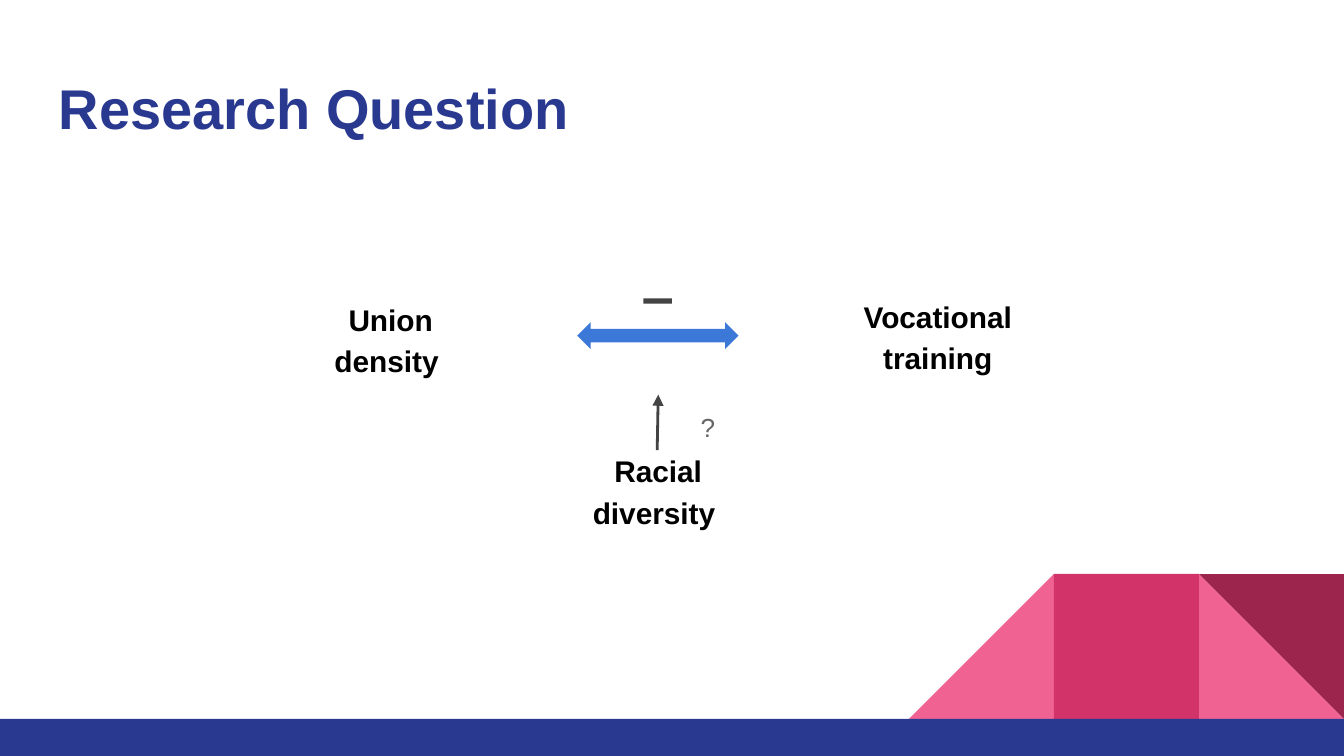
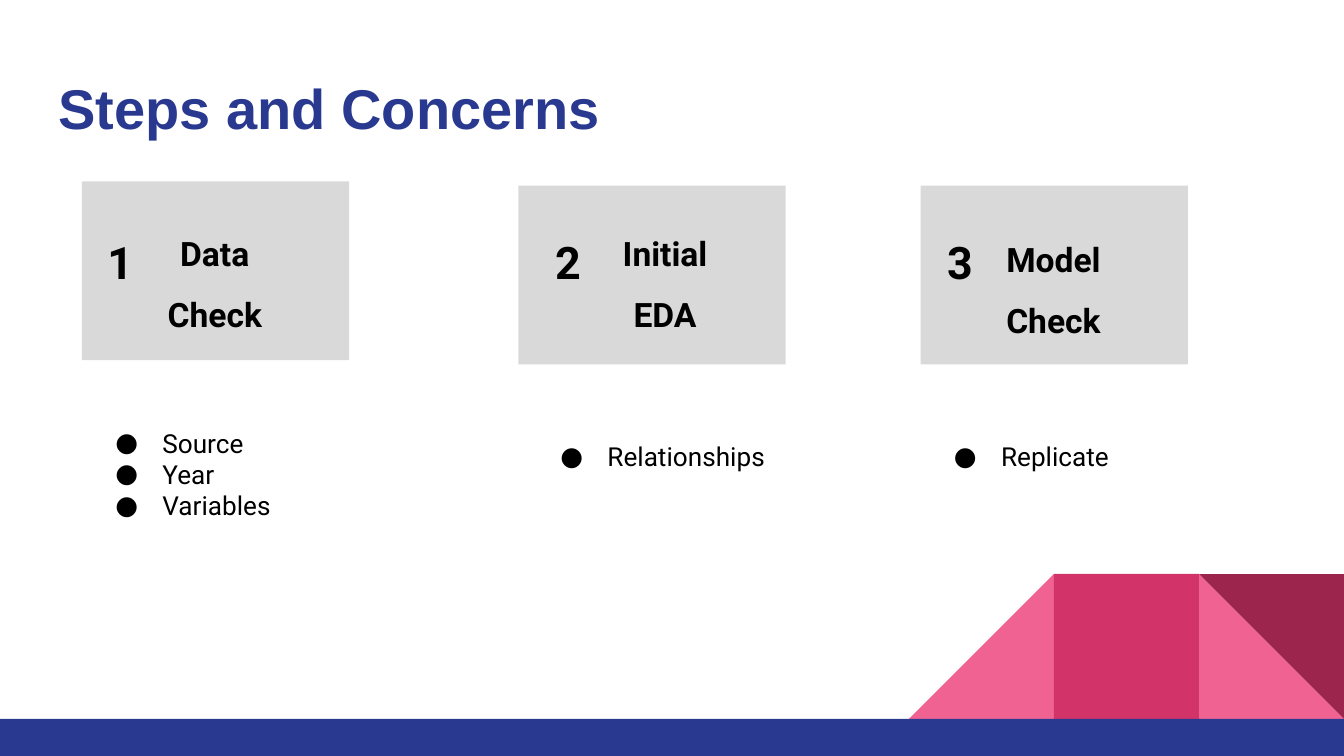
from typing import NamedTuple

from lxml.etree import SubElement
from pptx import Presentation
from pptx.dml.color import RGBColor as Rgb
from pptx.enum.shapes import MSO_CONNECTOR as Link, MSO_SHAPE as Preset
from pptx.enum.text import PP_ALIGN as Align
from pptx.oxml.ns import qn
from pptx.util import Cm, Pt

COLORS = {
    "navy": "2A3990",
    "pink": "F06292",
    "rose": "D23369",
    "wine": "9C254D",
    "blue": "3C78D8",
    "dark": "434343",
    "mid": "666666",
    "card": "D9D9D9",
    "black": "000000",
}
SLIDE_WIDTH, SLIDE_HEIGHT = 25.4, 14.29
INSETS = (0.25, 0.25, 0.25, 0.25)


class Box(NamedTuple):
    left: float
    top: float
    width: float
    height: float

    def inner(self, dx, dy, width, height):
        return Box(self.left + dx, self.top + dy, width, height)

    def lengths(self):
        return [Cm(value) for value in self]


class Style(NamedTuple):
    size: int
    font: str = "Arial"
    color: str = "black"
    bold: bool = True
    align: Align = Align.LEFT
    spacing: float = 1.0


class Step(NamedTuple):
    number: str
    heading: list
    concerns: list
    card: Box
    number_at: tuple
    heading_at: tuple
    concerns_box: Box


TITLE = Style(30, color="navy")
LABEL = Style(16, align=Align.CENTER, spacing=1.15)
QUESTION = Style(14, color="mid", bold=False, align=Align.CENTER)
NUMBER = Style(24, "Roboto")
HEADING = Style(18, "Roboto", align=Align.CENTER, spacing=1.5)
CONCERN = Style(14, "Roboto", bold=False)

STEPS = [
    Step("1", ["Data", "Check"], ["Source", "Year", "Variables"],
         Box(1.55, 3.43, 5.05, 3.38), (0.23, 0.76), (0.63, 0.35),
         Box(1.55, 7.82, 7.16, 3.05)),
    Step("2", ["Initial", "EDA"], ["Relationships"],
         Box(9.8, 3.51, 5.05, 3.38), (0.44, 0.68), (0.89, 0.27),
         Box(9.96, 8.08, 7.16, 2.03)),
    Step("3", ["Model", "Check"], ["Replicate"],
         Box(17.4, 3.51, 5.05, 3.38), (0.25, 0.68), (0.63, 0.38),
         Box(17.4, 8.08, 6.93, 2.03)),
]


def color(name):
    return Rgb.from_string(COLORS[name])


def add_block(slide, preset, box, fill):
    block = slide.shapes.add_shape(preset, *box.lengths())
    block.shadow.inherit = False
    block.fill.solid()
    block.fill.fore_color.rgb = color(fill)
    block.line.fill.background()
    return block


def add_text(slide, box, lines, style, insets=INSETS, wrap=True, bullet=False):
    frame = slide.shapes.add_textbox(*box.lengths()).text_frame
    frame.word_wrap = wrap
    (frame.margin_left, frame.margin_top,
     frame.margin_right, frame.margin_bottom) = [Cm(inset) for inset in insets]
    for index, line in enumerate(lines):
        paragraph = frame.add_paragraph() if index else frame.paragraphs[0]
        paragraph.alignment = style.align
        paragraph.line_spacing = style.spacing
        run = paragraph.add_run()
        run.text = line
        run.font.name = style.font
        run.font.size = Pt(style.size)
        run.font.bold = style.bold
        run.font.color.rgb = color(style.color)
        if bullet:
            add_bullet(paragraph)


def add_bullet(paragraph):
    props = paragraph._p.get_or_add_pPr()
    props.set("marL", str(Cm(1.27)))
    props.set("indent", str(Cm(-0.89)))
    tint = SubElement(props, qn("a:buClr"))
    SubElement(tint, qn("a:srgbClr"), val=COLORS["black"])
    SubElement(props, qn("a:buFont"), typeface="Roboto")
    SubElement(props, qn("a:buChar"), char="●")


def add_arrow(slide, start, end):
    arrow = slide.shapes.add_connector(
        Link.STRAIGHT, *[Cm(value) for value in start + end])
    arrow.line.color.rgb = color("dark")
    arrow.line.width = Pt(1.5)
    SubElement(arrow.line._get_or_add_ln(), qn("a:tailEnd"), type="triangle")
    SubElement(arrow._element.spPr, qn("a:effectLst"))


def draw_decor(slide, tile=2.74, band=0.7):
    top = SLIDE_HEIGHT - band - tile
    left, middle, right = [
        Box(SLIDE_WIDTH - count * tile, top, tile, tile) for count in (3, 2, 1)]
    add_block(slide, Preset.RIGHT_TRIANGLE, right, "pink")
    slope = add_block(slide, Preset.RIGHT_TRIANGLE, left, "pink")
    slope._element.spPr.xfrm.set("flipH", "1")
    add_block(slide, Preset.RECTANGLE, middle, "rose")
    add_block(slide, Preset.RIGHT_TRIANGLE, right, "wine").rotation = 180
    add_block(slide, Preset.RECTANGLE,
              Box(0, SLIDE_HEIGHT - band, SLIDE_WIDTH, band), "navy")


def start_slide(deck, title):
    slide = deck.slides.add_slide(deck.slide_layouts[6])
    draw_decor(slide)
    add_text(slide, Box(0.86, 1.14, 23.67, 1.68), [title], TITLE)
    return slide


def draw_relation(slide, area):
    label_insets = (0.25, 1.56, 0.25, 0.25)
    labels = {
        "Union density ": area.inner(0, 0.06, 4.11, 2.44),
        "Vocational training": area.inner(10.06, 0, 4.67, 3.53),
        "Racial diversity ": area.inner(5.19, 2.92, 3.84, 1.9),
    }
    for label, box in labels.items():
        add_text(slide, box, [label], LABEL, label_insets)
    add_block(slide, Preset.LEFT_RIGHT_ARROW,
              area.inner(5.58, 1.98, 3.05, 0.51), "blue")
    add_block(slide, Preset.RECTANGLE,
              area.inner(6.83, 1.53, 0.54, 0.1), "dark")
    add_arrow(slide, (area.left + 7.09, area.top + 4.4),
              (area.left + 7.11, area.top + 3.35))
    add_text(slide, area.inner(7.78, 3.53, 0.38, 0.58), ["?"], QUESTION,
             (0.13, 0.13, 0, 0), wrap=False)


def draw_step(slide, step):
    add_block(slide, Preset.RECTANGLE, step.card, "card")
    add_text(slide, step.card.inner(*step.heading_at, 3.76, 2.62),
             step.heading, HEADING)
    add_text(slide, step.card.inner(*step.number_at, 1.04, 1.35),
             [step.number], NUMBER)
    add_text(slide, step.concerns_box, step.concerns, CONCERN, bullet=True)


def main():
    deck = Presentation()
    deck.slide_width, deck.slide_height = Cm(SLIDE_WIDTH), Cm(SLIDE_HEIGHT)
    question = start_slide(deck, "Research Question")
    draw_relation(question, Box(5.33, 4.11, 14.73, 4.82))
    plan = start_slide(deck, "Steps and Concerns")
    for step in STEPS:
        draw_step(plan, step)
    deck.save("out.pptx")


if __name__ == "__main__":
    main()
